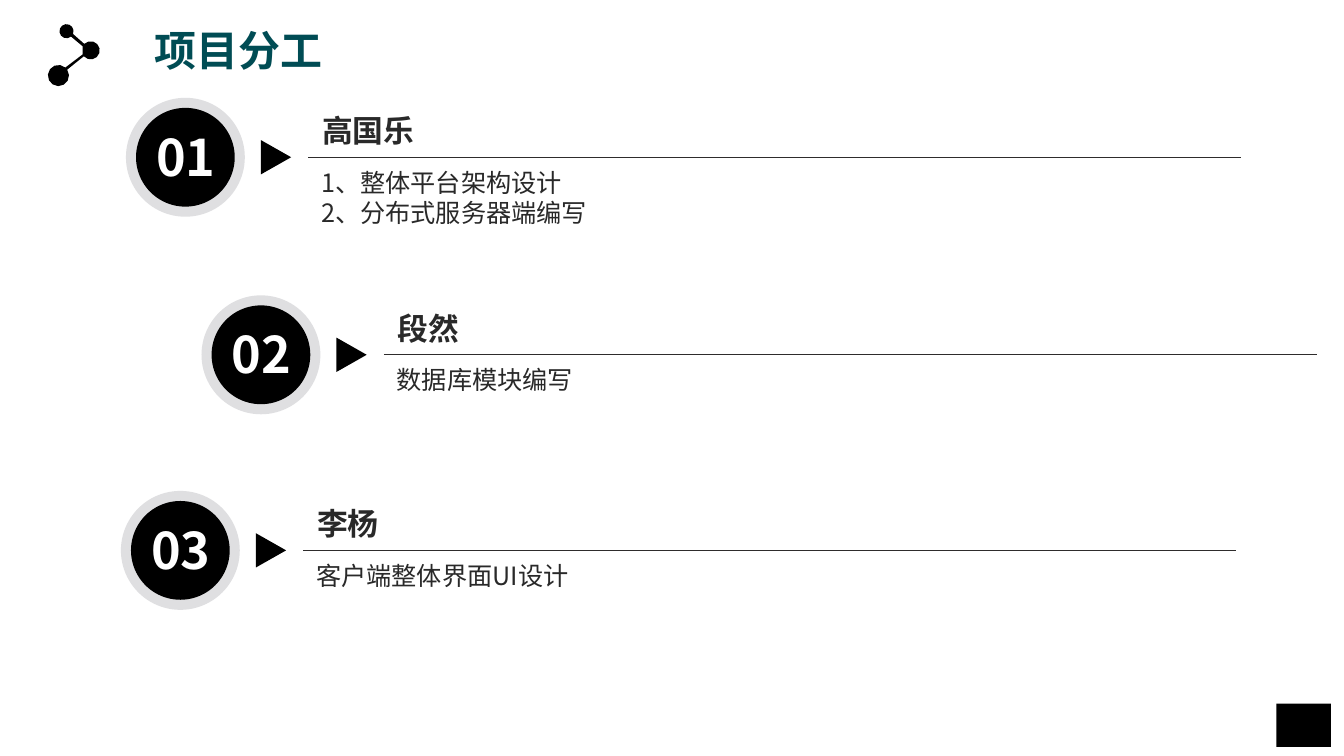
from math import cos, radians, sin

from lxml.etree import SubElement
from pptx import Presentation
from pptx.dml.color import RGBColor
from pptx.enum.shapes import MSO_CONNECTOR, MSO_SHAPE
from pptx.enum.text import PP_ALIGN
from pptx.oxml.ns import qn
from pptx.util import Pt

PX = 9144  # 100 px to the inch
BLACK, WHITE, TEAL = "000000", "FFFFFF", "004C54"
INK, RULE, RING = "292929", "2E2C2C", "DFDFE1"


def color(code):
    return RGBColor.from_string(code)


def arc(x, y, radius, start, end, step=30):
    """Points clockwise along a circle, angles in degrees."""
    count = max(1, (end - start) // step)
    turns = [radians(start + (end - start) * i / count) for i in range(count + 1)]
    return [(x + radius * cos(t), y + radius * sin(t)) for t in turns]


class Deck:
    font = "Noto Sans CJK SC"

    def __init__(self, width, height):
        self.prs = Presentation()
        self.prs.slide_width = width * PX
        self.prs.slide_height = height * PX
        self.slide = self.prs.slides.add_slide(self.prs.slide_layouts[6])
        self.shapes = self.slide.shapes

    def paint(self, shape, fill):
        shape.shadow.inherit = False
        shape.fill.solid()
        shape.fill.fore_color.rgb = color(fill)
        shape.line.fill.background()

    def shape(self, kind, x, y, w, h, fill):
        self.paint(self.shapes.add_shape(kind, x * PX, y * PX, w * PX, h * PX), fill)

    def outline(self, points, fill):
        first, *rest = [(round(x * PX), round(y * PX)) for x, y in points]
        form = self.shapes.build_freeform(*first)
        form.add_line_segments(rest)
        self.paint(form.convert_to_shape(), fill)

    def line(self, x, y, w, ink):
        rule = self.shapes.add_connector(
            MSO_CONNECTOR.STRAIGHT, x * PX, y * PX, (x + w) * PX, y * PX)
        rule.line.color.rgb = color(ink)
        rule.line.width = Pt(0.75)
        SubElement(rule._element.spPr, qn("a:effectLst"))

    def text(self, x, y, w, h, lines, size, ink, bold=False,
             align=PP_ALIGN.LEFT):
        box = self.shapes.add_textbox(x * PX, y * PX, w * PX, h * PX)
        frame = box.text_frame
        frame.word_wrap = True
        frame.text = "\n".join(lines)
        for para in frame.paragraphs:
            para.alignment = align
            font = para.font
            font.name, font.size, font.bold = self.font, Pt(size), bold
            font.color.rgb = color(ink)
            base = para._p.pPr.find(qn("a:defRPr"))
            SubElement(base, qn("a:ea")).set("typeface", self.font)

    def member(self, x, y, number, name, tasks):
        """One row, placed by the top left corner of its ring."""
        mid = y + 59
        self.line(x + 181, mid, 926, RULE)
        self.text(x + 185, y + 9, 415, 47, [name], 22, INK, bold=True)
        self.text(x + 184, y + 64, 922, 10 + 30 * len(tasks), tasks, 18, INK)
        self.outline([(x + 134, mid - 17), (x + 164, mid), (x + 134, mid + 17)], BLACK)
        self.shape(MSO_SHAPE.OVAL, x, y, 118, 118, RING)
        self.shape(MSO_SHAPE.OVAL, x + 10, y + 10, 98, 98, BLACK)
        self.text(x + 10, y + 23, 99, 70, [number], 36, WHITE,
                  bold=True, align=PP_ALIGN.CENTER)


def main():
    deck = Deck(1334, 750)

    # Corner block
    deck.shape(MSO_SHAPE.RECTANGLE, 1267, 698, 54, 43, BLACK)

    # Title and its icon of three joined dots
    deck.text(137, 19, 200, 60, ["项目分工"], 30, TEAL, bold=True,
              align=PP_ALIGN.CENTER)
    low, hub, top = (58, 75, 10.5), (90, 50, 9), (66, 31, 7)
    deck.outline(arc(*low, -34, 311) + arc(*hub, 153, 207)
                 + arc(*top, 50, 383) + arc(*hub, 225, 499), BLACK)

    # Team members
    team = [
        (125, 97, "高国乐", ["1、整体平台架构设计", "2、分布式服务器端编写"]),
        (200, 293, "段然", ["数据库模块编写"]),
        (120, 487, "李杨", ["客户端整体界面UI设计"]),
    ]
    for i, (x, y, name, tasks) in enumerate(team, 1):
        deck.member(x, y, f"{i:02}", name, tasks)

    deck.prs.save("out.pptx")


if __name__ == "__main__":
    main()
